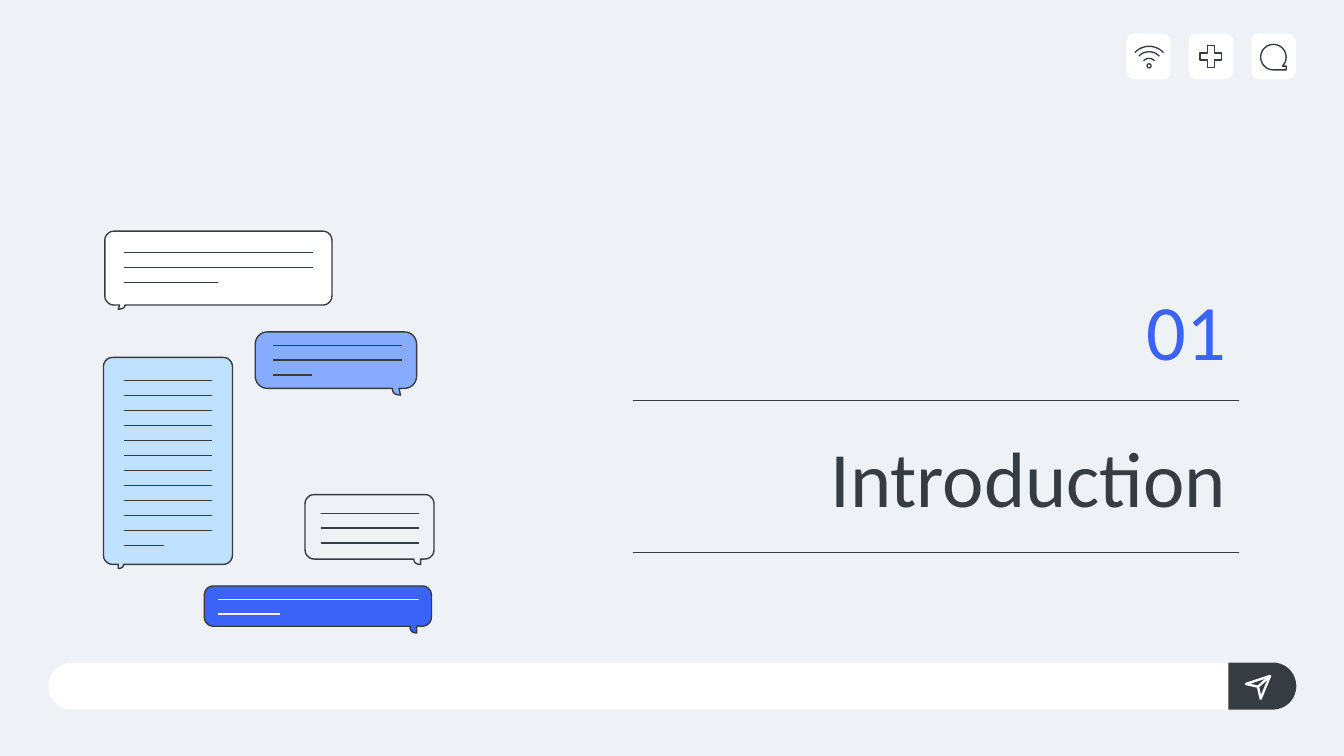
from math import cos, radians, sin

from lxml import etree
from pptx import Presentation
from pptx.dml.color import RGBColor
from pptx.enum.shapes import MSO_CONNECTOR, MSO_SHAPE
from pptx.enum.text import MSO_ANCHOR, PP_ALIGN
from pptx.oxml.ns import qn
from pptx.util import Inches, Pt

ROUNDED = MSO_SHAPE.ROUNDED_RECTANGLE
PLUS = MSO_SHAPE.MATH_PLUS
CHAT = MSO_SHAPE.FLOWCHART_SEQUENTIAL_ACCESS_STORAGE
DONUT = MSO_SHAPE.DONUT
STRAIGHT = MSO_CONNECTOR.STRAIGHT
MIDDLE, BOTTOM = MSO_ANCHOR.MIDDLE, MSO_ANCHOR.BOTTOM
RIGHT = PP_ALIGN.RIGHT

THEME = {
    "paper": "EEF1F5", "white": "FFFFFF", "ink": "373B42", "accent": "3B63F8",
    "sky": "C0E1FF", "periwinkle": "87ABFF",
    "font": "Calibri", "heading": 42, "hairline": 0.75, "icon_stroke": 1.25,
}

SLIDE_WIDTH = 10
SLIDE_HEIGHT = SLIDE_WIDTH * 9 / 16

HEADINGS = [
    ("Introduction", (4.43, 2.98, 4.79, 1.13), "ink", MIDDLE),
    ("01", (7.87, 1.98, 1.35, 0.92), "accent", BOTTOM),
]
DIVIDERS = [4.11, 2.98]
DIVIDER_SPAN = (4.71, 9.22)

BUBBLES = [
    {"body": (0.78, 1.72, 2.47, 2.27), "radius": 0.07, "tail": (0.93, 0.89, 0.88, 0.03), "fill": "white",
     "ink": "ink", "span": (0.92, 2.33), "rows": (1.88, 2.10, 3), "last": 1.62},
    {"body": (0.77, 2.66, 1.73, 4.20), "radius": 0.07, "tail": (0.92, 0.88, 0.88, 0.03), "fill": "sky",
     "ink": "ink", "span": (0.92, 1.58), "rows": (2.83, 4.06, 12), "last": 1.22},
    {"body": (1.52, 4.36, 3.21, 4.66), "radius": 0.07, "tail": (3.05, 3.10, 3.10, 0.05), "fill": "accent",
     "ink": "paper", "span": (1.62, 3.12), "rows": (4.46, 4.57, 2), "last": 2.08},
    {"body": (2.27, 3.68, 3.23, 4.16), "radius": 0.07, "tail": (3.08, 3.13, 3.13, 0.04), "fill": "paper",
     "ink": "ink", "span": (2.39, 3.12), "rows": (3.82, 4.04, 3), "last": 3.12},
    {"body": (1.90, 2.47, 3.10, 2.89), "radius": 0.09, "tail": (2.92, 2.97, 2.98, 0.05), "fill": "periwinkle",
     "ink": "ink", "span": (2.03, 2.99), "rows": (2.57, 2.79, 3), "last": 2.32},
]

TILE = {"left": 8.38, "top": 0.25, "width": 0.33, "height": 0.34, "right": 9.31, "count": 3}
WIFI_CENTRE = (8.55, 0.49)
WIFI_RADII = [0.15, 0.11, 0.06]
WIFI_STROKE = 0.01
PLANE = [(9.38, 5.2), (9.36, 5.11), (9.27, 5.09), (9.45, 5.03)]


def colour(name):
    return RGBColor.from_string(THEME[name])


def paint(shape, fill=None, line=None, width=THEME["hairline"]):
    shape.shadow.inherit = False
    if fill:
        shape.fill.solid()
        shape.fill.fore_color.rgb = colour(fill)
    else:
        shape.fill.background()
    if line:
        shape.line.color.rgb = colour(line)
        shape.line.width = Pt(width)
    else:
        shape.line.fill.background()


def add_preset(slide, kind, box, adjustment=None, **style):
    shape = slide.shapes.add_shape(kind, *map(Inches, box))
    if adjustment is not None:
        shape.adjustments[0] = adjustment
    paint(shape, **style)


def add_outline(slide, points, **style):
    units = [(x * 1000, y * 1000) for x, y in points]
    builder = slide.shapes.build_freeform(*units[0], scale=Inches(1) / 1000)
    builder.add_line_segments(units[1:], close=True)
    paint(builder.convert_to_shape(), **style)


def add_line(slide, start, end, ink, width=THEME["hairline"]):
    line = slide.shapes.add_connector(STRAIGHT, *map(Inches, (*start, *end)))
    line.line.color.rgb = colour(ink)
    line.line.width = Pt(width)
    etree.SubElement(line._element.spPr, qn("a:effectLst"))


def arc(centre, radius, start, end, steps=12):
    angles = [radians(start + (end - start) * i / steps) for i in range(steps + 1)]
    return [(centre[0] + radius * cos(a), centre[1] + radius * sin(a)) for a in angles]


def tail_points(bottom, inner, outer, tip, depth, steps=8):
    curve = []
    for i in range(steps + 1):
        t = i / steps
        x = (1 - t * t) * inner + t * t * tip
        y = bottom + depth * (1 - (1 - t) ** 2)
        curve.append((x, y))
    points = curve + [(outer, bottom)]
    return points if inner > outer else points[::-1]


def add_bubble(slide, bubble):
    left, top, right, bottom = bubble["body"]
    r = bubble["radius"]
    outline = (
        arc((left + r, top + r), r, 180, 270)
        + arc((right - r, top + r), r, 270, 360)
        + arc((right - r, bottom - r), r, 0, 90)
        + tail_points(bottom, *bubble["tail"])
        + arc((left + r, bottom - r), r, 90, 180)
    )
    add_outline(slide, outline, fill=bubble["fill"], line="ink")
    first, last, count = bubble["rows"]
    start, end = bubble["span"]
    for row in range(count):
        y = first + (last - first) * row / (count - 1)
        stop = bubble["last"] if row == count - 1 else end
        add_line(slide, (start, y), (stop, y), bubble["ink"])


def add_icons(slide):
    pitch = (TILE["right"] - TILE["left"]) / (TILE["count"] - 1)
    for i in range(TILE["count"]):
        box = (TILE["left"] + i * pitch, TILE["top"], TILE["width"], TILE["height"])
        add_preset(slide, ROUNDED, box, 0.167, fill="white")
    add_preset(slide, PLUS, (8.9, 0.31, 0.22, 0.22), 0.235, line="ink")
    add_preset(slide, CHAT, (9.38, 0.33, 0.19, 0.19), line="ink")
    for radius in WIFI_RADII:
        band = arc(WIFI_CENTRE, radius, 223, 317) + arc(WIFI_CENTRE, radius - WIFI_STROKE, 317, 223)
        add_outline(slide, band, fill="ink")
    add_preset(slide, DONUT, (8.53, 0.47, 0.04, 0.04), 0.25, fill="ink")


def add_message_bar(slide):
    add_preset(slide, ROUNDED, (0.36, 4.93, 9.29, 0.35), 0.5, fill="white")
    button = [(9.14, 5.28), (9.14, 4.93)] + arc((9.47, 5.105), 0.175, -90, 90, 24)
    add_outline(slide, button, fill="ink")
    add_outline(slide, PLANE, line="white", width=THEME["icon_stroke"])
    add_line(slide, PLANE[1], PLANE[3], "white", THEME["icon_stroke"])


def add_heading(slide, wording, box, ink, anchor):
    frame = slide.shapes.add_textbox(*map(Inches, box)).text_frame
    frame.word_wrap = True
    frame.vertical_anchor = anchor
    frame.margin_left = frame.margin_right = Inches(0.1)
    frame.margin_top = frame.margin_bottom = Inches(0.1)
    frame.text = wording
    paragraph = frame.paragraphs[0]
    paragraph.alignment = RIGHT
    font = paragraph.runs[0].font
    font.name = THEME["font"]
    font.size = Pt(THEME["heading"])
    font.color.rgb = colour(ink)


def main():
    deck = Presentation()
    deck.slide_width, deck.slide_height = Inches(SLIDE_WIDTH), Inches(SLIDE_HEIGHT)
    slide = deck.slides.add_slide(deck.slide_layouts[6])
    slide.background.fill.solid()
    slide.background.fill.fore_color.rgb = colour("paper")
    add_icons(slide)
    add_message_bar(slide)
    for heading in HEADINGS:
        add_heading(slide, *heading)
    for bubble in BUBBLES:
        add_bubble(slide, bubble)
    for y in DIVIDERS:
        add_line(slide, (DIVIDER_SPAN[0], y), (DIVIDER_SPAN[1], y), "ink")
    deck.save("out.pptx")


if __name__ == "__main__":
    main()
